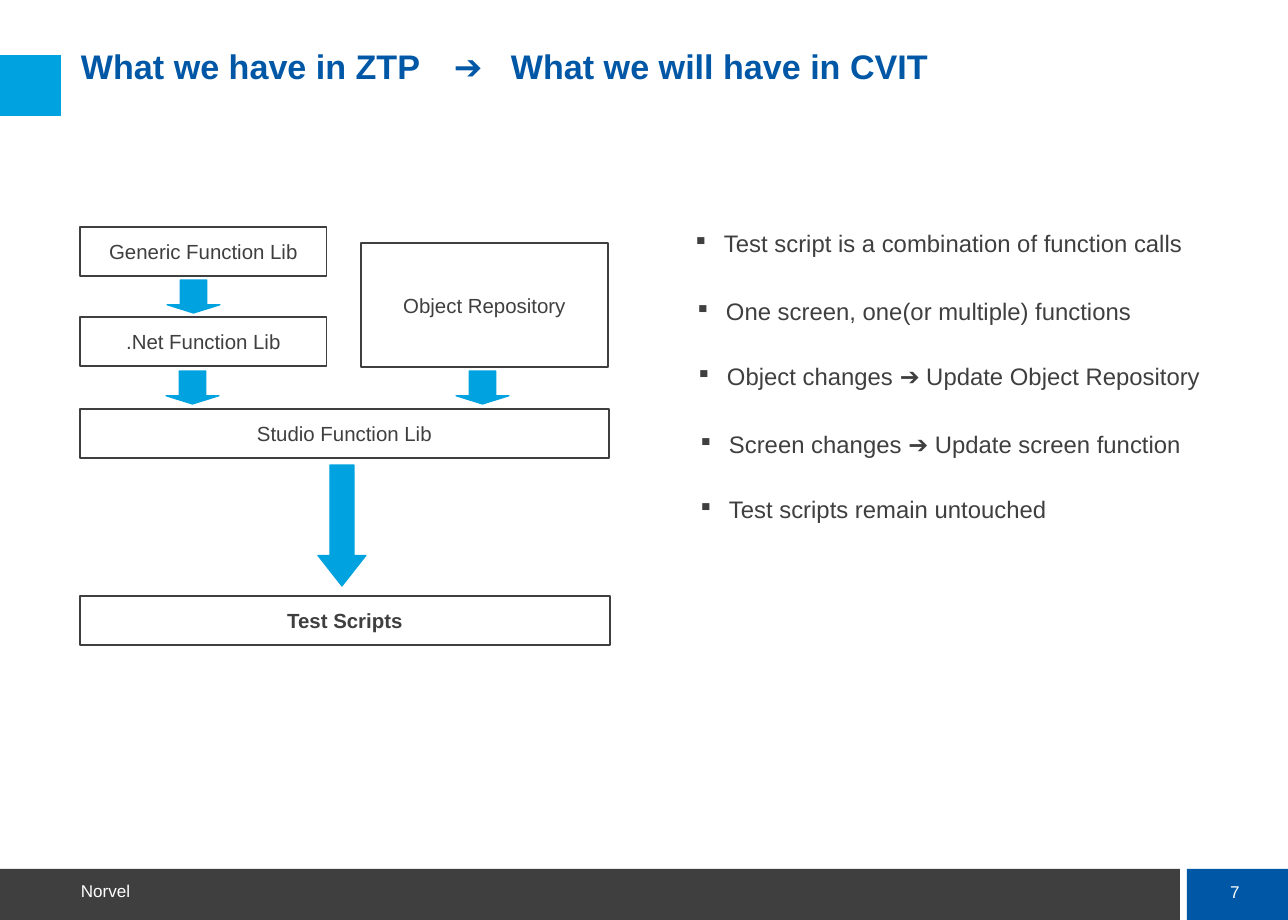
"""Build the slide comparing test library layers with the planned approach."""
from dataclasses import dataclass

from lxml.etree import SubElement as Sub
from pptx import Presentation
from pptx.dml.color import RGBColor as Rgb
from pptx.enum.shapes import MSO_SHAPE as Kind
from pptx.enum.text import MSO_ANCHOR as Anchor, PP_ALIGN as Align
from pptx.oxml.ns import qn
from pptx.shapes.autoshape import Shape
from pptx.shapes.shapetree import SlideShapes as Tree
from pptx.util import Emu, Pt

SCALE = 7454


@dataclass(frozen=True)
class Theme:
    font: str = "Arial"
    dark: str = "3F3F3F"
    navy: str = "0057A6"
    sky: str = "00A2DF"
    white: str = "FFFFFF"
    title: int = 20
    point: int = 14
    label: int = 12
    foot: int = 10
    line: float = 0.75


@dataclass(frozen=True)
class Area:
    left: int
    top: int
    width: int
    height: int


@dataclass(frozen=True)
class Box:
    text: str
    area: Area
    bold: bool = False


@dataclass(frozen=True)
class Arrow:
    area: Area
    head: float = 0.25


@dataclass(frozen=True)
class Bar:
    area: Area
    color: str


@dataclass(frozen=True)
class Point:
    text: str
    left: int
    top: int


@dataclass(frozen=True)
class Style:
    size: int
    color: str
    bold: bool = False
    align: Align = Align.LEFT
    anchor: Anchor = Anchor.TOP


THEME = Theme()
BARS = (
    Bar(Area(0, 869, 1180, 51), THEME.dark),
    Bar(Area(1187, 869, 101, 51), THEME.navy),
    Bar(Area(0, 55, 61, 61), THEME.sky),
)
BOXES = (
    Box("Generic Function Lib", Area(80, 227, 247, 49)),
    Box(".Net Function Lib", Area(80, 317, 247, 49)),
    Box("Studio Function Lib", Area(80, 409, 529, 49)),
    Box("Object Repository", Area(361, 243, 247, 124)),
    Box("Test Scripts", Area(80, 596, 530, 49), True),
)
ARROWS = (
    Arrow(Area(167, 280, 53, 33)),
    Arrow(Area(166, 371, 53, 33)),
    Arrow(Area(318, 465, 48, 121), 0.636),
    Arrow(Area(456, 371, 53, 33)),
)
POINTS = (
    Point("Test script is a combination of function calls", 693, 229),
    Point("One screen, one(or multiple) functions", 695, 297),
    Point("Object changes ➔ Update Object Repository", 696, 362),
    Point("Screen changes ➔ Update screen function", 698, 430),
    Point("Test scripts remain untouched", 698, 495),
)


def px(count: int) -> Emu:
    """Turn pixels into EMU."""
    return Emu(count * SCALE)


def place(area: Area) -> tuple[Emu, Emu, Emu, Emu]:
    """Give an area as EMU lengths."""
    return px(area.left), px(area.top), px(area.width), px(area.height)


def write(shape: Shape, text: str, style: Style) -> None:
    """Set the text of a shape in one style."""
    frame = shape.text_frame
    frame.word_wrap = True
    frame.vertical_anchor = style.anchor
    frame.margin_left = frame.margin_right = 0
    frame.margin_top = frame.margin_bottom = 0
    para = frame.paragraphs[0]
    para.text = text
    para.alignment = style.align
    font = para.font
    font.name, font.size, font.bold = THEME.font, Pt(style.size), style.bold
    font.color.rgb = Rgb.from_string(style.color)


def add_text(tree: Tree, text: str, area: Area, style: Style) -> Shape:
    """Add a text box."""
    shape = tree.add_textbox(*place(area))
    write(shape, text, style)
    return shape


def add_solid(tree: Tree, kind: Kind, area: Area, color: str) -> Shape:
    """Add a filled shape without an outline."""
    shape = tree.add_shape(kind, *place(area))
    shape.shadow.inherit = False
    shape.fill.solid()
    shape.fill.fore_color.rgb = Rgb.from_string(color)
    shape.line.fill.background()
    return shape


def outline(shape: Shape, color: str) -> None:
    """Give a shape a thin line."""
    shape.line.color.rgb = Rgb.from_string(color)
    shape.line.width = Pt(THEME.line)


def add_box(tree: Tree, box: Box) -> None:
    """Add an outlined box with a centred label."""
    shape = tree.add_shape(Kind.RECTANGLE, *place(box.area))
    shape.shadow.inherit = False
    shape.fill.background()
    outline(shape, THEME.dark)
    write(shape, box.text,
          Style(THEME.label, THEME.dark, box.bold, Align.CENTER, Anchor.MIDDLE))


def add_arrow(tree: Tree, arrow: Arrow) -> None:
    """Add a downward block arrow."""
    shape = add_solid(tree, Kind.DOWN_ARROW, arrow.area, THEME.sky)
    outline(shape, THEME.sky)
    shape.adjustments[0] = 0.5
    shape.adjustments[1] = arrow.head


def add_point(tree: Tree, point: Point) -> None:
    """Add one bulleted statement."""
    area = Area(point.left, point.top, 555, 44)
    shape = add_text(tree, point.text, area, Style(THEME.point, THEME.dark))
    props = shape.text_frame.paragraphs[0]._p.get_or_add_pPr()
    props.set("marL", str(px(31)))
    props.set("indent", str(px(-31)))
    marks = [Sub(props, qn(tag)) for tag in ("a:buClr", "a:buSzPct", "a:buChar")]
    Sub(marks[0], qn("a:srgbClr"), val=THEME.dark)
    marks[1].set("val", "90000")
    marks[2].set("char", "▪")


def add_title(tree: Tree) -> None:
    """Add the heading with tab stops around its arrow."""
    shape = add_text(tree, "What we have in ZTP\t➔\tWhat we will have in CVIT",
                     Area(81, 50, 1100, 81), Style(THEME.title, THEME.navy, True))
    para = shape.text_frame.paragraphs[0]
    para.line_spacing = 0.9
    stops = Sub(para._p.get_or_add_pPr(), qn("a:tabLst"))
    for stop in (373, 430):
        Sub(stops, qn("a:tab"), pos=str(px(stop)), algn="l")


def main() -> None:
    """Draw and save the slide."""
    deck = Presentation()
    deck.slide_width, deck.slide_height = px(1288), px(920)
    tree = deck.slides.add_slide(deck.slide_layouts[6]).shapes
    for bar in BARS:
        add_solid(tree, Kind.RECTANGLE, bar.area, bar.color)
    add_text(tree, "7", Area(1205, 875, 60, 33),
             Style(THEME.foot, THEME.white, False, Align.CENTER, Anchor.MIDDLE))
    add_text(tree, "Norvel", Area(81, 877, 514, 24),
             Style(THEME.foot, THEME.white, anchor=Anchor.BOTTOM))
    add_title(tree)
    for box in BOXES:
        add_box(tree, box)
    for arrow in ARROWS:
        add_arrow(tree, arrow)
    for point in POINTS:
        add_point(tree, point)
    deck.save("out.pptx")


if __name__ == "__main__":
    main()
